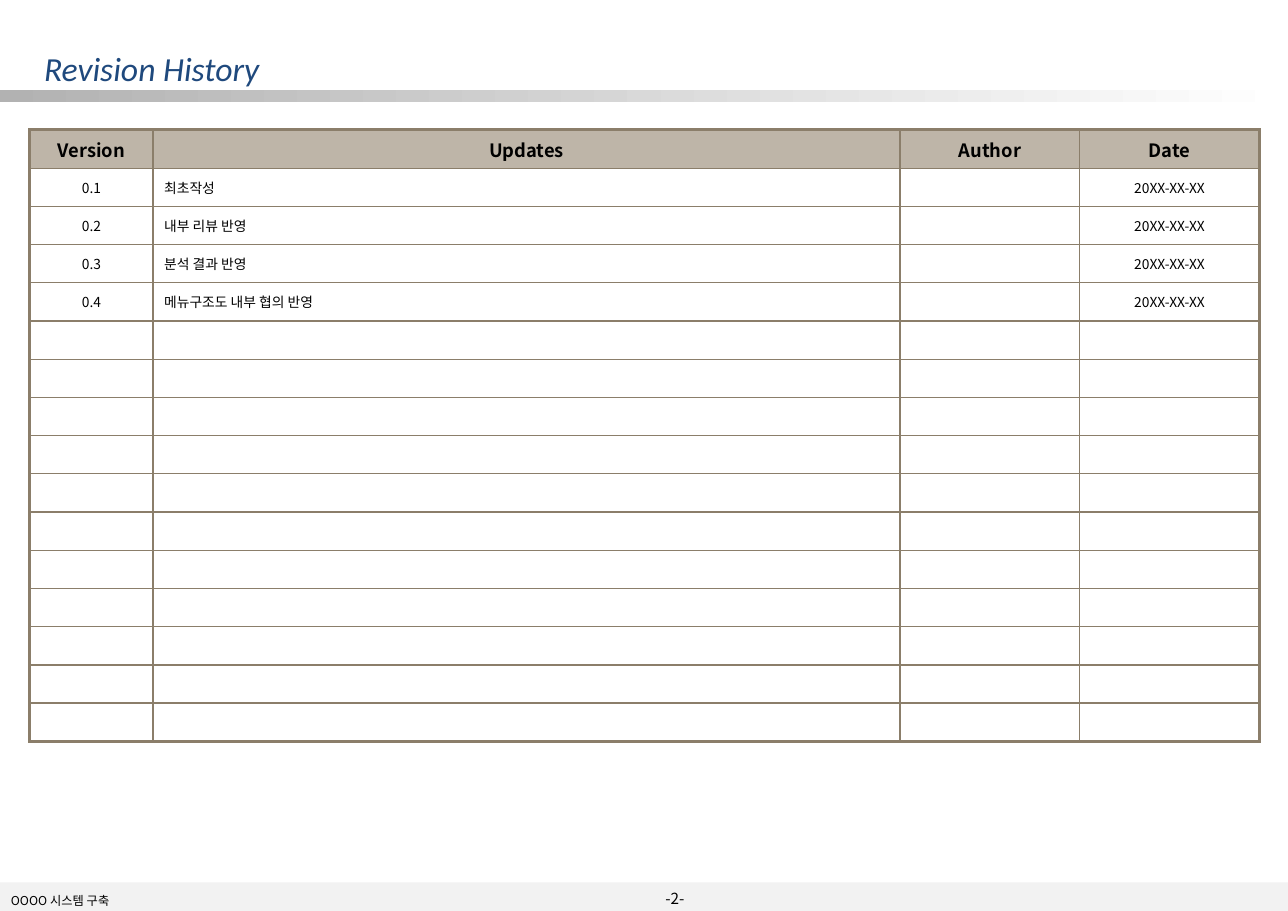
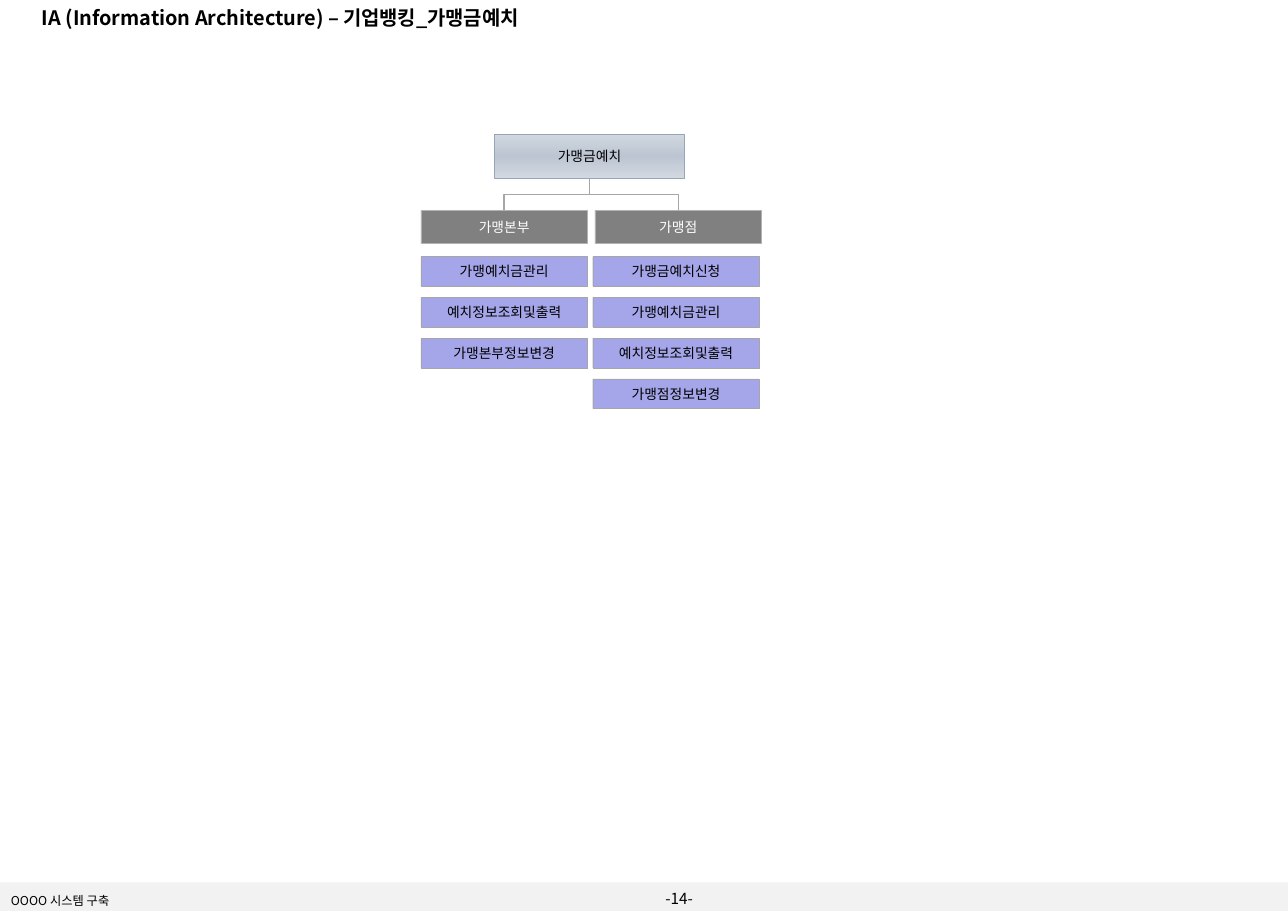
from dataclasses import dataclass

from lxml import etree
from pptx import Presentation
from pptx import util as u
from pptx.dml.color import RGBColor
from pptx.enum import shapes, text
from pptx.oxml.ns import qn

REVISIONS = [
    ("0.1", "최초작성", "", "20XX-XX-XX"),
    ("0.2", "내부 리뷰 반영", "", "20XX-XX-XX"),
    ("0.3", "분석 결과 반영", "", "20XX-XX-XX"),
    ("0.4", "메뉴구조도 내부 협의 반영", "", "20XX-XX-XX"),
]
REVISION_HEAD = ("Version", "Updates", "Author", "Date")
REVISION_COLUMNS = (1.12, 6.78, 1.63, 1.63)
REVISION_ROWS = 16

MENU_ROOT = "가맹금예치"
MENU = {
    "가맹본부": ["가맹예치금관리", "예치정보조회및출력", "가맹본부정보변경"],
    "가맹점": ["가맹금예치신청", "가맹예치금관리", "예치정보조회및출력", "가맹점정보변경"],
}
FOOTER = "OOOO 시스템 구축"
WIDTH, HEIGHT = 11.69, 8.27


@dataclass(frozen=True)
class Theme:
    font: str = "Noto Sans CJK KR"
    title_font: str = "Calibri"
    ink: str = "000000"
    white: str = "FFFFFF"
    title: str = "1F497D"
    footer: str = "F2F2F2"
    table_line: str = "8B7E6A"
    table_head: str = "BEB5A8"
    bar: tuple = ((0, "B2B2B2"), (100, "FFFFFF"))
    root: tuple = ((0, "D2D8E0"), (50, "BCC5D2"), (100, "D2D8E0"))
    root_line: str = "96A5B8"
    group: str = "808080"
    group_line: str = "B2B2B2"
    item: str = "A5A5E9"
    link: str = "A6A6A6"
    title_size: float = 22
    heading_size: float = 13
    head_size: float = 12
    number_size: float = 10
    body_size: float = 9
    footer_size: float = 8


THEME = Theme()


def write(frame, words, size=THEME.body_size, color=THEME.ink, font=THEME.font,
          bold=False, italic=False, align="LEFT", wrap=True, inset=(0.1, 0.05)):
    frame.auto_size = text.MSO_AUTO_SIZE.NONE
    frame.word_wrap = wrap
    frame.vertical_anchor = text.MSO_ANCHOR.MIDDLE
    frame.margin_left = frame.margin_right = u.Inches(inset[0])
    frame.margin_top = frame.margin_bottom = u.Inches(inset[1])
    write_line(frame.paragraphs[0], words, size, color, font, bold, italic, align)


def write_line(para, words, size=THEME.body_size, color=THEME.ink, font=THEME.font,
               bold=False, italic=False, align="LEFT"):
    para.alignment = getattr(text.PP_ALIGN, align)
    if not words:
        etree.SubElement(para._p, qn("a:endParaRPr"), sz=str(size * 100))
        return
    span = para.add_run()
    span.text = words
    span.font.name, span.font.size = font, u.Pt(size)
    span.font.bold, span.font.italic = bold, italic
    span.font.color.rgb = RGBColor.from_string(color)
    etree.SubElement(span._r.get_or_add_rPr(), qn("a:ea"), typeface=font)


def add_box(page, place, fill, line=None, line_width=0.25, angle=0):
    """Add a rectangle; fill is a colour, or (percent, colour) gradient stops."""
    box = page.shapes.add_shape(shapes.MSO_SHAPE.RECTANGLE, *map(u.Inches, place))
    box.shadow.inherit = False
    if isinstance(fill, str):
        box.fill.solid()
        box.fill.fore_color.rgb = RGBColor.from_string(fill)
    else:
        box.fill.gradient()
        box.fill.gradient_angle = angle
        stops = box._element.spPr.find(qn("a:gradFill")).find(qn("a:gsLst"))
        for stop in list(stops):
            stops.remove(stop)
        for percent, color in fill:
            stop = etree.SubElement(stops, qn("a:gs"), pos=str(percent * 1000))
            etree.SubElement(stop, qn("a:srgbClr"), val=color)
    if line:
        box.line.color.rgb = RGBColor.from_string(line)
        box.line.width = u.Pt(line_width)
    else:
        box.line.fill.background()
    return box


def add_page(deck, number, title, place, **style):
    """Add a slide with its title, footer band and page number."""
    page = deck.slides.add_slide(deck.slide_layouts[5])
    heading = page.shapes.title
    heading.left, heading.top, heading.width, heading.height = map(u.Inches, place)
    write(heading.text_frame, title, inset=(0.11, 0.05), **style)
    add_box(page, (0, 8.01, WIDTH, HEIGHT - 8.01), THEME.footer)
    for words, spot, size, inset in (
        (f"-{number}-", (5.93, 8.04, 0.5, 0.23), THEME.number_size, 0.11),
        (FOOTER, (0, 8.07, 4.88, 0.21), THEME.footer_size, 0.1),
    ):
        label = page.shapes.add_textbox(*map(u.Inches, spot))
        write(label.text_frame, words, size=size, wrap=False, inset=(inset, 0.05))
    return page


def set_borders(cell, outer_sides):
    """Draw all four cell borders, heavier on the outer sides of the table."""
    props = cell._tc.get_or_add_tcPr()
    for index, side in enumerate("LRTB"):
        width = 2.25 if side in outer_sides else 1
        edge = etree.Element(qn(f"a:ln{side}"), w=str(u.Pt(width)))
        paint = etree.SubElement(edge, qn("a:solidFill"))
        etree.SubElement(paint, qn("a:srgbClr"), val=THEME.table_line)
        props.insert(index, edge)


def add_revision_table(page):
    last_row, last_column = REVISION_ROWS - 1, len(REVISION_HEAD) - 1
    blank = ("",) * len(REVISION_HEAD)
    rows = [REVISION_HEAD, *REVISIONS]
    rows += [blank] * (REVISION_ROWS - len(rows))
    place = map(u.Inches, (0.27, 1.18, sum(REVISION_COLUMNS), 5.55))
    table = page.shapes.add_table(REVISION_ROWS, len(REVISION_HEAD), *place).table
    table.first_row = table.horz_banding = False
    for column, width in zip(table.columns, REVISION_COLUMNS):
        column.width = u.Inches(width)
    for r, row in enumerate(rows):
        for c, words in enumerate(row):
            cell = table.cell(r, c)
            cell.vertical_anchor = text.MSO_ANCHOR.MIDDLE
            is_head = r == 0
            write_line(cell.text_frame.paragraphs[0], words, bold=is_head,
                       size=THEME.head_size if is_head else THEME.body_size,
                       align="LEFT" if c == 1 and not is_head else "CENTER")
            if is_head:
                cell.fill.solid()
                cell.fill.fore_color.rgb = RGBColor.from_string(THEME.table_head)
            else:
                cell.fill.background()
            outer = {"L": c == 0, "R": c == last_column, "T": is_head, "B": r == last_row}
            set_borders(cell, [side for side, is_outer in outer.items() if is_outer])


def add_branch(page, start, end):
    """Link two points by an elbow that runs down, across and down again."""
    (x1, y1), (x2, y2) = start, end
    mid_x, mid_y = (x1 + x2) / 2, (y1 + y2) / 2
    direction = 1 if x2 < x1 else -1
    half_run, half_rise = direction * (y2 - y1) / 2, abs(x2 - x1) / 2
    ends = (mid_x - half_run, mid_y - half_rise, mid_x + half_run, mid_y + half_rise)
    branch = page.shapes.add_connector(shapes.MSO_CONNECTOR.ELBOW, *map(u.Inches, ends))
    branch.line.color.rgb = RGBColor.from_string(THEME.link)
    branch.line.width = u.Pt(0.75)
    props = branch._element.spPr
    props.find(qn("a:xfrm")).set("rot", str((90 if direction == 1 else 270) * 60000))
    etree.SubElement(props, qn("a:effectLst"))


def add_menu_tree(page):
    left, width = 3.82, 1.51
    root_left, root_top, root_width, root_height = 4.49, 1.22, 1.72, 0.4
    group_top, group_height, group_step = 1.91, 0.3, 1.58
    item_top, item_height, item_step, item_row = 2.33, 0.27, 1.56, 0.37

    root = add_box(page, (root_left, root_top, root_width, root_height), THEME.root,
                   THEME.root_line, line_width=0.75, angle=90)
    write(root.text_frame, MENU_ROOT, align="CENTER", inset=(0.04, 0.04))
    root_foot = (root_left + root_width / 2, root_top + root_height)
    for column, (group, items) in enumerate(MENU.items()):
        x = left + column * group_step
        box = add_box(page, (x, group_top, width, group_height),
                      THEME.group, THEME.group_line)
        write(box.text_frame, group, color=THEME.white, align="CENTER",
              wrap=False, inset=(0, 0))
        add_branch(page, root_foot, (x + width / 2, group_top))
        for row, item in enumerate(items):
            place = (left + column * item_step, item_top + row * item_row,
                     width, item_height)
            box = add_box(page, place, THEME.item, THEME.link)
            write(box.text_frame, item, align="CENTER", inset=(0.11, 0.05))


def main():
    deck = Presentation()
    deck.slide_width, deck.slide_height = u.Inches(WIDTH), u.Inches(HEIGHT)

    page = add_page(deck, 2, "Revision History", (0.29, 0.4, 10.52, 0.44),
                    size=THEME.title_size, color=THEME.title,
                    font=THEME.title_font, italic=True)
    add_revision_table(page)
    add_box(page, (0, 0.82, WIDTH, 0.11), THEME.bar)

    page = add_page(deck, 14, "IA (Information Architecture) – 기업뱅킹_가맹금예치",
                    (0.27, -0.01, 6.69, 0.33), size=THEME.heading_size, bold=True)
    add_menu_tree(page)
    deck.save("out.pptx")


if __name__ == "__main__":
    main()
